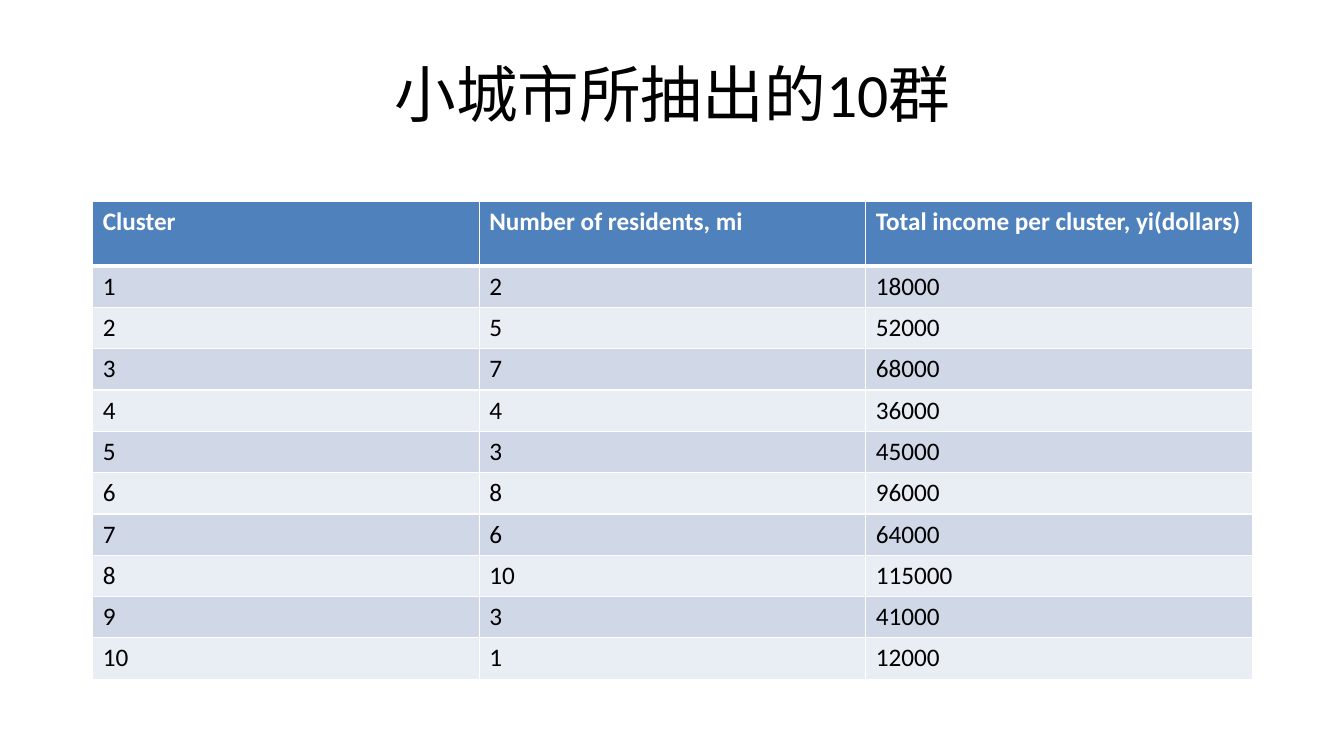
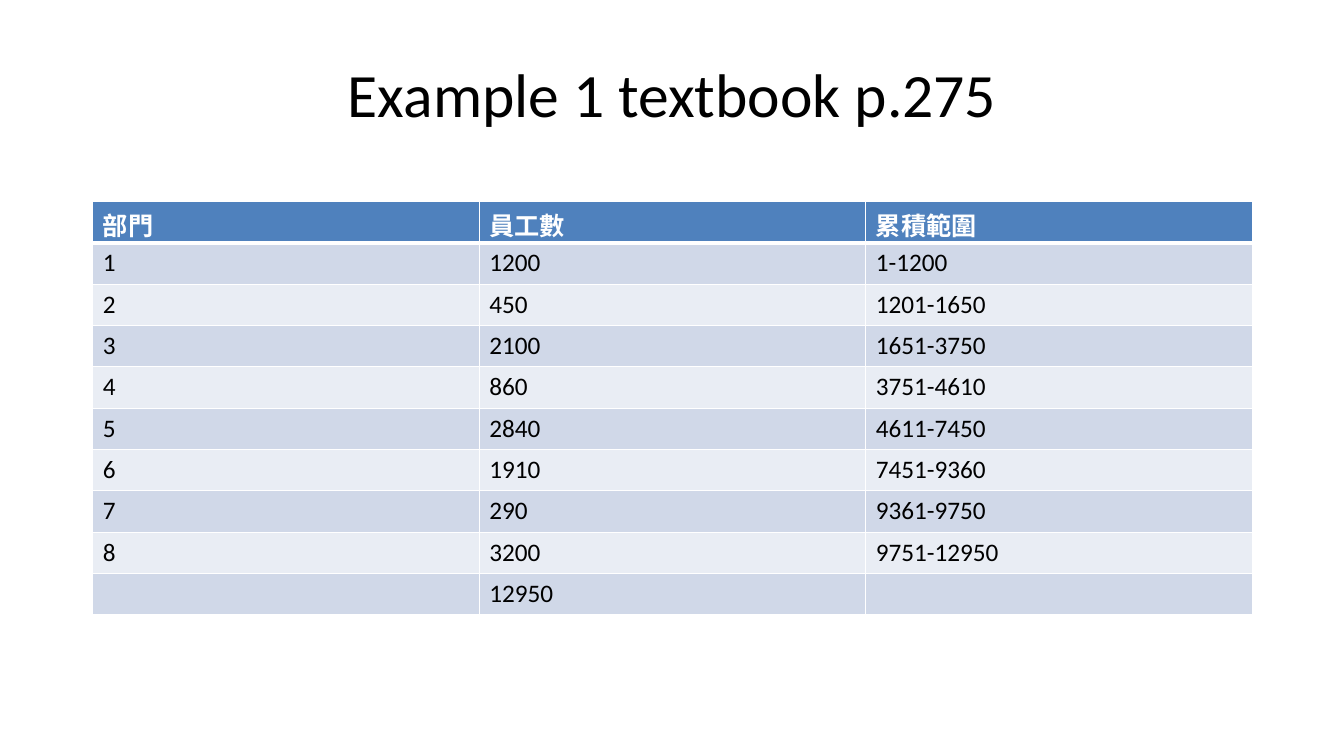
from dataclasses import dataclass

import pptx
import pptx.dml.color
import pptx.enum.text
import pptx.oxml
import pptx.oxml.ns
import pptx.slide
import pptx.table
import pptx.text.text
import pptx.util

Inches = pptx.util.Inches


@dataclass(frozen=True)
class Theme:
    font: str = "Calibri"
    title_size: int = 44
    table_size: int = 18
    text: str = "000000"
    header_text: str = "FFFFFF"
    header_fill: str = "4F81BD"
    band_fills: tuple[str, str] = ("D0D8E8", "E9EDF4")
    border: str = "FFFFFF"
    thin: int = 1
    thick: int = 3


@dataclass(frozen=True)
class TablePage:
    title: str
    header: tuple[str, ...]
    rows: tuple[tuple[str, ...], ...]
    header_height: float


THEME = Theme()
TABLE_LEFT, TABLE_TOP, TABLE_WIDTH = 0.92, 2.0, 11.5
ROW_HEIGHT = 0.41

PAGES = (
    TablePage(
        "小城市所抽出的10群",
        ("Cluster", "Number of residents, mi", "Total income per cluster, yi(dollars)"),
        (
            ("1", "2", "18000"),
            ("2", "5", "52000"),
            ("3", "7", "68000"),
            ("4", "4", "36000"),
            ("5", "3", "45000"),
            ("6", "8", "96000"),
            ("7", "6", "64000"),
            ("8", "10", "115000"),
            ("9", "3", "41000"),
            ("10", "1", "12000"),
        ),
        header_height=0.64,
    ),
    TablePage(
        "Example 1 textbook p.275",
        ("部門", "員工數", "累積範圍"),
        (
            ("1", "1200", "1-1200"),
            ("2", "450", "1201-1650"),
            ("3", "2100", "1651-3750"),
            ("4", "860", "3751-4610"),
            ("5", "2840", "4611-7450"),
            ("6", "1910", "7451-9360"),
            ("7", "290", "9361-9750"),
            ("8", "3200", "9751-12950"),
            ("", "12950", ""),
        ),
        header_height=ROW_HEIGHT,
    ),
)


def rgb(color: str) -> pptx.dml.color.RGBColor:
    return pptx.dml.color.RGBColor.from_string(color)


def add_span(para: pptx.text.text._Paragraph, text: str, size: int,
             color: str, bold: bool = False) -> None:
    span = para.add_run()
    span.text = text
    span.font.name = THEME.font
    span.font.size = pptx.util.Pt(size)
    span.font.bold = bold
    span.font.color.rgb = rgb(color)


def add_title(page: pptx.slide.Slide, text: str) -> None:
    box = page.shapes.add_textbox(Inches(0.67), Inches(0.3), Inches(12), Inches(1.25))
    frame = box.text_frame
    frame.word_wrap = True
    frame.vertical_anchor = pptx.enum.text.MSO_ANCHOR.MIDDLE
    para = frame.paragraphs[0]
    para.alignment = pptx.enum.text.PP_ALIGN.CENTER
    add_span(para, text, THEME.title_size, THEME.text)


def set_borders(cell: pptx.table._Cell, top: int, bottom: int) -> None:
    """Draw the four cell borders; call before filling, as the schema orders them."""
    properties = cell._tc.get_or_add_tcPr()
    widths = {"L": THEME.thin, "R": THEME.thin, "T": top, "B": bottom}
    for side, width in widths.items():
        properties.append(pptx.oxml.parse_xml(
            f'<a:ln{side} {pptx.oxml.ns.nsdecls("a")} w="{pptx.util.Pt(width)}">'
            f'<a:solidFill><a:srgbClr val="{THEME.border}"/></a:solidFill></a:ln{side}>'
        ))


def style_cell(cell: pptx.table._Cell, text: str, row: int) -> None:
    is_header = row == 0
    set_borders(
        cell,
        top=THEME.thick if row == 1 else THEME.thin,
        bottom=THEME.thick if is_header else THEME.thin,
    )
    cell.fill.solid()
    fill = THEME.header_fill if is_header else THEME.band_fills[(row - 1) % 2]
    cell.fill.fore_color.rgb = rgb(fill)
    if text:
        color = THEME.header_text if is_header else THEME.text
        add_span(cell.text_frame.paragraphs[0], text, THEME.table_size, color, is_header)


def add_data_table(page: pptx.slide.Slide, content: TablePage) -> None:
    lines = (content.header, *content.rows)
    height = content.header_height + ROW_HEIGHT * len(content.rows)
    table = page.shapes.add_table(
        len(lines), len(content.header),
        Inches(TABLE_LEFT), Inches(TABLE_TOP), Inches(TABLE_WIDTH), Inches(height),
    ).table
    for row, line in enumerate(lines):
        table.rows[row].height = Inches(ROW_HEIGHT if row else content.header_height)
        for column, text in enumerate(line):
            style_cell(table.cell(row, column), text, row)


def main() -> None:
    deck = pptx.Presentation()
    deck.slide_width = Inches(13.33)
    deck.slide_height = Inches(7.5)
    blank = deck.slide_layouts[6]
    for content in PAGES:
        page = deck.slides.add_slide(blank)
        add_title(page, content.title)
        add_data_table(page, content)
    deck.save("out.pptx")


if __name__ == "__main__":
    main()
